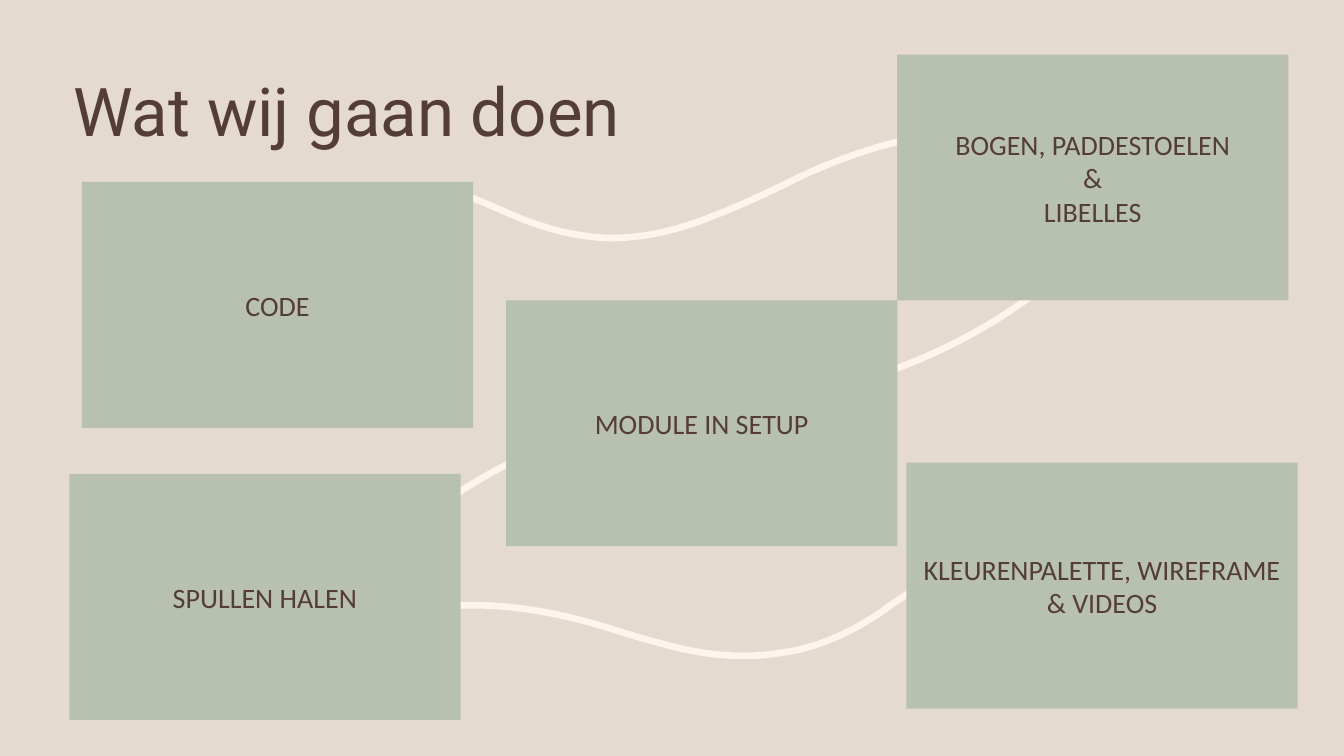
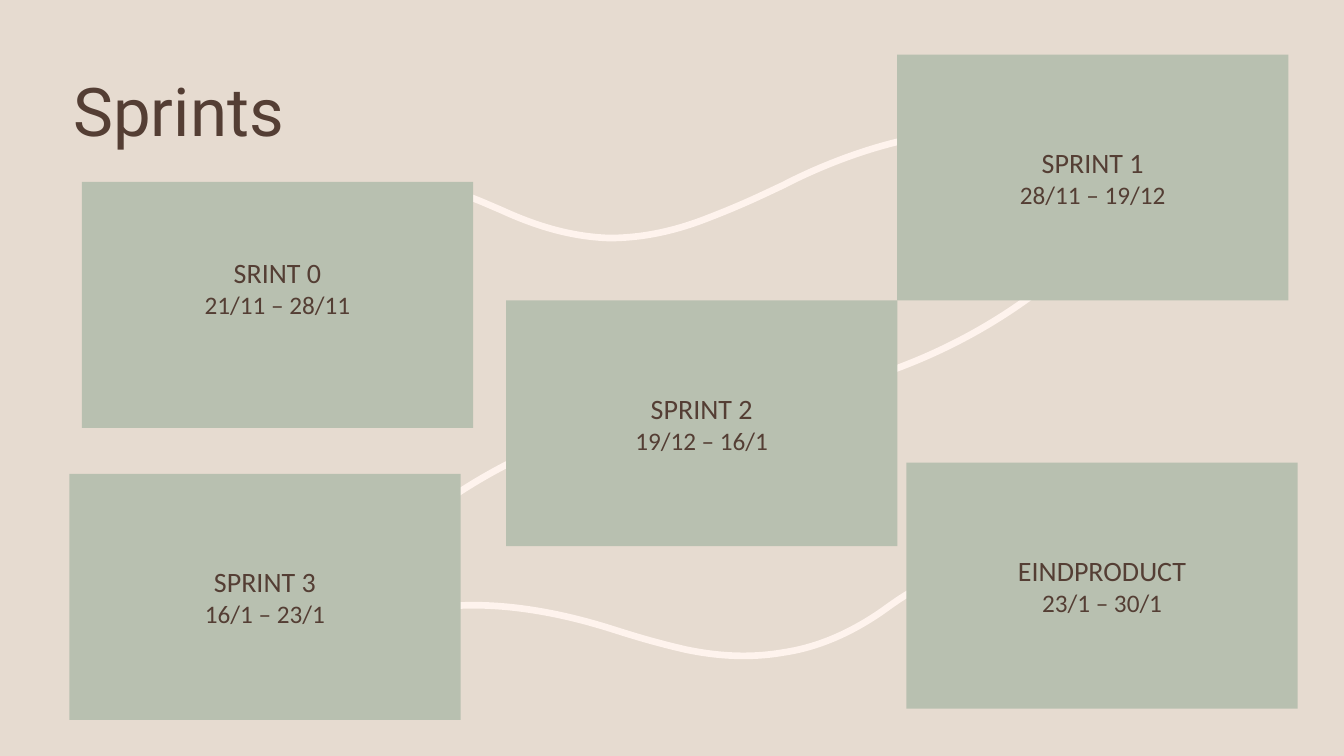
"""Builds the planning slide and the sprint slide, five boxes linked by curves."""
import pptx
import pptx.dml.color
import pptx.enum.shapes
import pptx.enum.text
import pptx.oxml
import pptx.util

Pt = pptx.util.Pt
RGBColor = pptx.dml.color.RGBColor
MIDDLE = pptx.enum.text.MSO_ANCHOR.MIDDLE
CENTER = pptx.enum.text.PP_ALIGN.CENTER
RECTANGLE = pptx.enum.shapes.MSO_SHAPE.RECTANGLE

SAND = RGBColor(0xE5, 0xDA, 0xCF)
LIGHT_SAND = RGBColor(0xE6, 0xDB, 0xD0)
SAGE = RGBColor(0xB8, 0xC0, 0xB0)
BROWN = RGBColor(0x54, 0x3E, 0x34)
CREAM = RGBColor(0xFE, 0xF3, 0xED)

BOX_WIDTH, BOX_HEIGHT = 279.5, 175.7
BOX_CORNERS = [(58.5, 130), (640.8, 39), (361.5, 214.5), (49.5, 338.5), (647.5, 330.5)]
LINE_SIZES = {"plan": (20, 20, 20), "sprints": (20, 18)}

CURVES = [
    [(600, 276), (657, 261), (709, 235), (754, 198)],
    [(420, 308), (366, 325), (320, 353), (280, 388)],
    [(221, 161), (252, 135), (287, 127), (323, 137), (336, 140), (346, 145), (358, 150),
     (382, 161), (407, 169), (435, 170), (459, 170), (482, 165), (505, 156),
     (531, 146), (545, 139), (560, 132), (577, 123), (677, 74), (739, 105)],
    [(662, 417), (651, 422), (642, 428), (631, 436), (611, 450), (587, 462), (560, 466),
     (537, 470), (514, 469), (490, 464), (464, 458), (449, 453), (433, 448),
     (416, 443), (312, 410), (250, 458)],
]

SLIDES = [
    ("Wat wij gaan doen", SAND, 828, LINE_SIZES["plan"], [
        ["CODE"],
        ["BOGEN, PADDESTOELEN", "&", "LIBELLES"],
        ["MODULE IN SETUP"],
        ["SPULLEN HALEN"],
        ["KLEURENPALETTE, WIREFRAME & VIDEOS"],
    ], 3.6),
    ("Sprints", LIGHT_SAND, 720, LINE_SIZES["sprints"], [
        ["SRINT 0", "21/11 – 28/11"],
        ["SPRINT 1", "28/11 – 19/12"],
        ["SPRINT 2", "19/12 – 16/1"],
        ["SPRINT 3", "16/1 – 23/1"],
        ["EINDPRODUCT", "23/1 – 30/1"],
    ], 28.6),
]


def add_run(paragraph, text, font_name, size):
    run = paragraph.add_run()
    run.text = text
    run.font.name = font_name
    run.font.size = Pt(size)
    run.font.color.rgb = BROWN


def add_curve(slide, points):
    start, *controls = [(Pt(x), Pt(y)) for x, y in points]
    builder = slide.shapes.build_freeform(*start)
    builder.add_line_segments(controls, close=False)
    curve = builder.convert_to_shape()
    curve.shadow.inherit = False
    curve.fill.background()
    curve.line.color.rgb = CREAM
    curve.line.width = Pt(4.75)
    outline = curve.element.xpath(".//a:path")[0]
    segments = outline.xpath("./a:lnTo")
    for first in range(0, len(segments), 3):
        bezier = outline.makeelement(pptx.oxml.ns.qn("a:cubicBezTo"))
        outline.append(bezier)
        for segment in segments[first:first + 3]:
            bezier.append(segment[0])
            outline.remove(segment)


deck = pptx.Presentation()
deck.slide_width = Pt(960)
deck.slide_height = Pt(540)

for heading, backdrop, heading_width, sizes, box_texts, first_box_inset in SLIDES:
    slide = deck.slides.add_slide(deck.slide_layouts[6])
    slide.background.fill.solid()
    slide.background.fill.fore_color.rgb = backdrop

    for points in CURVES:
        add_curve(slide, points)

    title = slide.shapes.add_textbox(Pt(45.4), Pt(55.4), Pt(heading_width), Pt(53.3))
    title.text_frame.word_wrap = True
    title.text_frame.vertical_anchor = MIDDLE
    title_line = title.text_frame.paragraphs[0]
    title_line.line_spacing = 0.9
    add_run(title_line, heading, "Roboto", 48)

    for number, ((left, top), lines) in enumerate(zip(BOX_CORNERS, box_texts)):
        box = slide.shapes.add_shape(RECTANGLE, Pt(left), Pt(top), Pt(BOX_WIDTH), Pt(BOX_HEIGHT))
        box.shadow.inherit = False
        box.fill.solid()
        box.fill.fore_color.rgb = SAGE
        box.line.fill.background()
        frame = box.text_frame
        frame.word_wrap = True
        frame.vertical_anchor = MIDDLE
        frame.margin_bottom = Pt(first_box_inset if number == 0 else 3.6)
        for index, (text, size) in enumerate(zip(lines, sizes)):
            paragraph = frame.add_paragraph() if index else frame.paragraphs[0]
            paragraph.alignment = CENTER
            add_run(paragraph, text, "Calibri", size)

deck.save("out.pptx")
